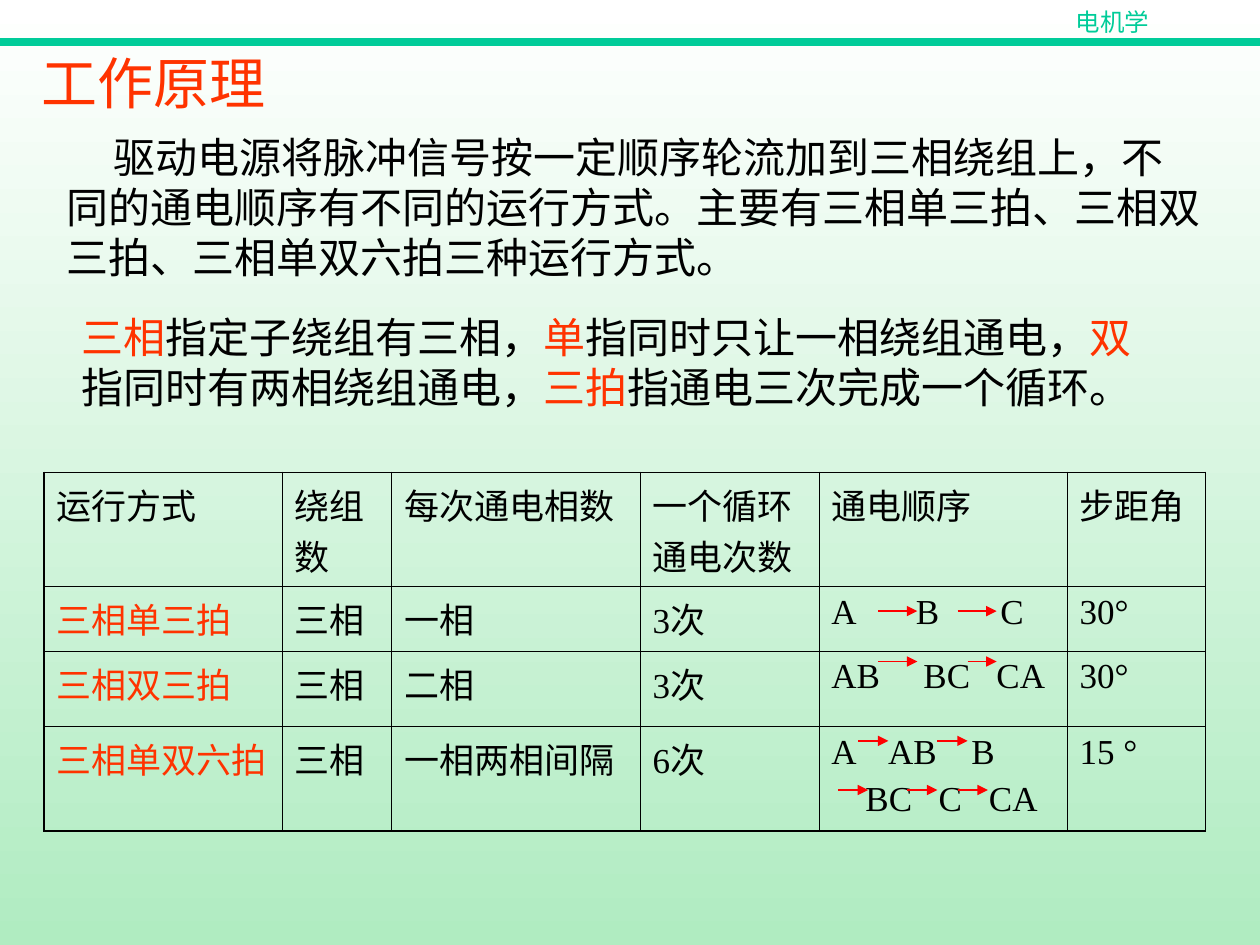
from dataclasses import dataclass

from lxml.etree import SubElement
from pptx import Presentation
from pptx.dml.color import RGBColor
from pptx.enum.shapes import MSO_CONNECTOR
from pptx.enum.text import MSO_ANCHOR, MSO_AUTO_SIZE, PP_ALIGN
from pptx.oxml import parse_xml
from pptx.oxml.ns import nsdecls, qn
from pptx.util import Inches, Pt


@dataclass(frozen=True)
class Theme:
    font: str = "Times New Roman"
    ink: str = "000000"
    key: str = "FF3300"
    green: str = "00CC99"
    arrow: str = "FF0000"
    top: str = "FFFFFF"
    base: str = "B0ECC1"
    title: int = 32
    body: int = 24
    cell: int = 20
    label: int = 14
    thin: float = 0.45
    edge: float = 1.08


class Deck:
    def __init__(self, theme):
        self.theme = theme
        self.file = Presentation()
        self.file.slide_width = Inches(10)
        self.file.slide_height = Inches(7.5)
        self.slide = self.file.slides.add_slide(self.file.slide_layouts[3])
        self.holders = {s.placeholder_format.idx: s for s in self.slide.placeholders}
        for idx in set(self.holders) - {0, 1, 2}:
            item = self.holders[idx].element
            item.getparent().remove(item)

    def backdrop(self):
        fill = self.slide.background.fill
        fill.gradient()
        fill.gradient_angle = 270
        stops = zip(fill.gradient_stops, (self.theme.top, self.theme.base))
        for place, (stop, color) in enumerate(stops):
            stop.position = place
            stop.color.rgb = RGBColor.from_string(color)

    def run(self, para, text, size, color):
        run = para.add_run()
        run.text = text
        run.font.name = self.theme.font
        run.font.size = Pt(size)
        run.font.color.rgb = RGBColor.from_string(color)

    def place(self, shape, box, anchor):
        shape.left, shape.top, shape.width, shape.height = map(Inches, box)
        frame = shape.text_frame
        frame.word_wrap = True
        frame.auto_size = MSO_AUTO_SIZE.NONE
        frame.vertical_anchor = anchor
        return frame.paragraphs[0]

    def title(self, text, box):
        para = self.place(self.holders[0], box, MSO_ANCHOR.MIDDLE)
        para.alignment = PP_ALIGN.LEFT
        self.run(para, text, self.theme.title, self.theme.key)

    def body(self, idx, runs, box, indent=0):
        para = self.place(self.holders[idx], box, MSO_ANCHOR.TOP)
        para.line_spacing = Pt(self.theme.body * 1.2)
        para.space_before = Pt(0)
        props = para._p.get_or_add_pPr()
        props.set("marL", "0")
        props.set("indent", str(Inches(indent)))
        SubElement(props, qn("a:buNone"))
        for text, color in runs:
            self.run(para, text, self.theme.body, color)

    def label(self, text, box):
        shape = self.slide.shapes.add_textbox(*map(Inches, box))
        para = self.place(shape, box, MSO_ANCHOR.MIDDLE)
        para.alignment = PP_ALIGN.CENTER
        self.run(para, text, self.theme.label, self.theme.green)

    def line(self, start, end, y, color, width, head=False):
        ends = map(Inches, (start, y, end, y))
        line = self.slide.shapes.add_connector(MSO_CONNECTOR.STRAIGHT, *ends)
        line.line.color.rgb = RGBColor.from_string(color)
        line.line.width = Pt(width)
        if head:
            SubElement(line.line._get_or_add_ln(), qn("a:tailEnd"), type="triangle")
        SubElement(line.element.spPr, qn("a:effectLst"))

    def border(self, cell, sides):
        props = cell._tc.get_or_add_tcPr()
        for spot, (side, outer) in enumerate(sides.items()):
            width = Pt(self.theme.edge if outer else self.theme.thin)
            props.insert(spot, parse_xml(
                f'<a:ln{side} {nsdecls("a")} w="{width}"><a:solidFill>'
                f'<a:srgbClr val="{self.theme.ink}"/></a:solidFill></a:ln{side}>'))

    def cell(self, cell, lines, color):
        cell.fill.background()
        frame = cell.text_frame
        for i, (text, tabs) in enumerate(lines):
            para = frame.add_paragraph() if i else frame.paragraphs[0]
            para.space_before = Pt(5)
            if tabs:
                stops = SubElement(para._p.get_or_add_pPr(), qn("a:tabLst"))
                for tab in tabs:
                    SubElement(stops, qn("a:tab"), pos=str(Inches(tab)), algn="l")
            self.run(para, text, self.theme.cell, color)

    def table(self, rows, box, widths, heights):
        shape = self.slide.shapes.add_table(len(rows), len(widths), *map(Inches, box))
        grid = shape.table
        grid.first_row = grid.horz_banding = False
        for col, width in zip(grid.columns, widths):
            col.width = Inches(width)
        for row, height in zip(grid.rows, heights):
            row.height = Inches(height)
        for r, row in enumerate(rows):
            for c, item in enumerate(row):
                cell = grid.cell(r, c)
                lines = [(item, ())] if isinstance(item, str) else item
                color = self.theme.key if r and not c else self.theme.ink
                self.cell(cell, lines, color)
                self.border(cell, {"L": c == 0, "R": c == len(widths) - 1,
                                   "T": r == 0, "B": r == len(rows) - 1})


def main():
    theme = Theme()
    deck = Deck(theme)
    deck.backdrop()
    deck.line(0, 10, 0.33, theme.green, 4.5)
    deck.label("电机学", (8.08, 0, 1.5, 0.34))
    deck.title("工作原理", (0.23, 0.31, 9, 0.69))
    intro = ("驱动电源将脉冲信号按一定顺序轮流加到三相绕组上，不同的通电顺序有不同的运行方式。"
             "主要有三相单三拍、三相双三拍、三相单双六拍三种运行方式。")
    deck.body(1, [(intro, theme.ink)], (0.43, 0.99, 9.21, 1.3), 0.37)
    terms = [("三相", "指定子绕组有三相，"), ("单", "指同时只让一相绕组通电，"),
             ("双", "指同时有两相绕组通电，"), ("三拍", "指通电三次完成一个循环。")]
    runs = [pair for term, note in terms
            for pair in ((term, theme.key), (note, theme.ink))]
    deck.body(2, runs, (0.55, 2.42, 8.66, 0.9))
    rows = [
        ["运行方式", "绕组数", "每次通电相数", "一个循环通电次数", "通电顺序", "步距角"],
        ["三相单三拍", "三相", "一相", "3次", [("A\tB\tC", (0.67, 1.34))], "30°"],
        ["三相双三拍", "三相", "二相", "3次", [("AB\tBC\tCA", (0.73, 1.31))], "30°"],
        ["三相单双六拍", "三相", "一相两相间隔", "6次",
         [("A\tAB\tB", (0.45, 1.11)), ("\tBC\tC\tCA", (0.27, 0.85, 1.25))], "15 °"],
    ]
    deck.table(rows, (0.35, 3.75, 9.22, 2.84),
               (1.89, 0.87, 1.97, 1.42, 1.97, 1.1), (0.9, 0.51, 0.6, 0.83))
    arrows = [(4.85, 0.31, (6.97, 7.6)), (5.25, 0.31, (6.97,)), (5.25, 0.23, (7.68,)),
              (5.88, 0.24, (6.81, 7.44)), (6.27, 0.24, (6.65, 7.2, 7.6))]
    for y, size, starts in arrows:
        for x in starts:
            deck.line(x, x + size, y, theme.arrow, 0.75, True)
    deck.file.save("out.pptx")


if __name__ == "__main__":
    main()
